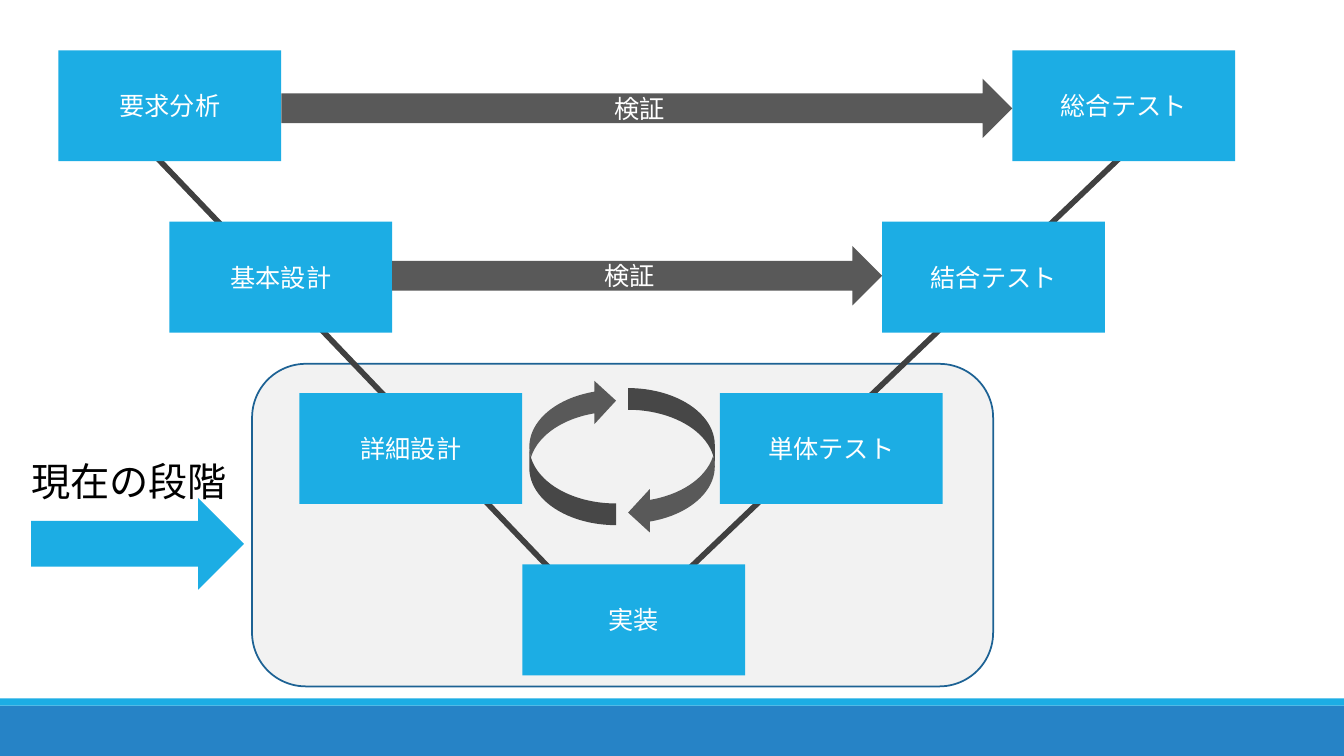
from pptx import Presentation, util as u
from pptx.dml.color import RGBColor
from pptx.enum import shapes, text
from pptx.oxml.ns import qn
from lxml import etree

SKY = RGBColor(0x1C, 0xAD, 0xE4)
BLUE = RGBColor(0x26, 0x83, 0xC6)
NAVY = RGBColor(0x1D, 0x62, 0x94)
PALE = RGBColor(0xF2, 0xF2, 0xF2)
GRAY = RGBColor(0x59, 0x59, 0x59)
DARK = RGBColor(0x40, 0x40, 0x40)
WHITE = RGBColor(0xFF, 0xFF, 0xFF)
BLACK = RGBColor(0, 0, 0)
KIND = shapes.MSO_SHAPE

deck = Presentation()
deck.slide_width, deck.slide_height = u.Inches(13.33), u.Inches(7.5)
slide = deck.slides.add_slide(deck.slide_layouts[6])


def write(shape, words, size=18, color=WHITE, align=text.PP_ALIGN.CENTER,
          anchor=text.MSO_ANCHOR.MIDDLE):
    """Put formatted words into a shape."""
    frame = shape.text_frame
    frame.word_wrap = True
    frame.vertical_anchor = anchor
    para = frame.paragraphs[0]
    para.alignment = align
    run = para.add_run()
    run.text = words
    run.font.name = "Calibri"
    run.font.size = u.Pt(size)
    run.font.color.rgb = color


def draw(kind, left, top, width, height, fill, line=None):
    """Add a flat filled shape, with an outline if a colour is given."""
    shape = slide.shapes.add_shape(kind, *map(u.Inches, (left, top, width, height)))
    shape.shadow.inherit = False
    shape.fill.solid()
    shape.fill.fore_color.rgb = fill
    if line:
        shape.line.color.rgb = line
        shape.line.width = u.Pt(1.25)
    else:
        shape.line.fill.background()
    return shape


# Footer bands and the frame of the current stage
draw(KIND.RECTANGLE, 0, 7, 13.33, 0.5, BLUE)
draw(KIND.RECTANGLE, 0, 6.93, 13.33, 0.07, SKY)
draw(KIND.ROUNDED_RECTANGLE, 2.5, 3.61, 7.35, 3.2, PALE, line=NAVY)

# Both legs of the V
for ends in [(6.7, 5.77, 11.49, 1.2), (1.37, 1.37, 5.94, 6.15)]:
    leg = slide.shapes.add_connector(shapes.MSO_CONNECTOR.STRAIGHT, *map(u.Inches, ends))
    leg.line.color.rgb = DARK
    leg.line.width = u.Pt(4)
    etree.SubElement(leg.line._get_or_add_ln().getparent(), qn("a:effectLst"))

# Phases, one row per level of the V
WIDE, HIGH, STEP = 2.21, 1.1, 1.7
levels = [
    [("要求分析", 0.58), ("総合テスト", 10.04)],
    [("基本設計", 1.68), ("結合テスト", 8.75)],
    [("詳細設計", 2.97), ("単体テスト", 7.14)],
    [("実装", 5.18)],
]
for row, level in enumerate(levels):
    for name, left in level:
        write(draw(KIND.RECTANGLE, left, 0.5 + row * STEP, WIDE, HIGH, SKY), name)

# Checks run from each design phase to its test phase
for level, top in zip(levels, (0.78, 2.44)):
    start, end = level[0][1] + WIDE, level[1][1]
    write(draw(KIND.RIGHT_ARROW, start, top, end - start, 0.59, GRAY), "検証")

# Loop between detailed design and unit test
for left, top, turn in [(6.23, 3.85, 0), (5.25, 3.76, 180)]:
    draw(KIND.CURVED_LEFT_ARROW, left, top, 0.86, 1.45, GRAY).rotation = turn

# Marker of the current stage
draw(KIND.RIGHT_ARROW, 0.31, 4.94, 2.11, 0.91, SKY)
label = slide.shapes.add_textbox(*map(u.Inches, (0.21, 4.49, 2.19, 0.57)))
write(label, "現在の段階", size=28, color=BLACK, align=text.PP_ALIGN.LEFT,
      anchor=text.MSO_ANCHOR.TOP)

deck.save("out.pptx")
